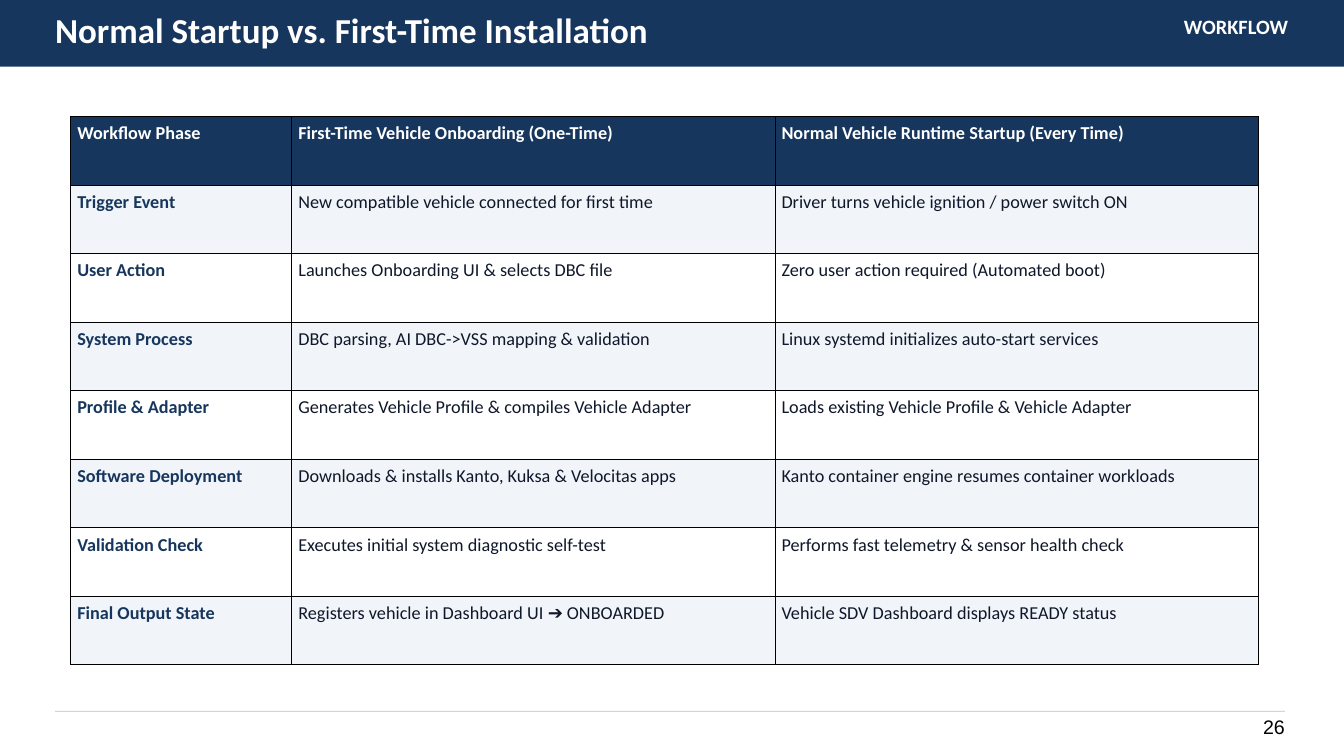
from lxml.etree import SubElement
from pptx import Presentation
from pptx.dml.color import RGBColor
from pptx.enum.shapes import MSO_SHAPE as Preset
from pptx.enum.text import MSO_ANCHOR as Anchor, MSO_AUTO_SIZE as AutoSize, PP_ALIGN as Align
from pptx.oxml.ns import qn
from pptx.util import Inches, Pt

NAVY, WHITE, PALE, INK = "17365D", "FFFFFF", "F1F5F9", "0F172A"
MARGIN = 0.82


def color(value):
    return RGBColor.from_string(value)


def write(frame, text, size, ink, bold=False, font="Calibri", spacing=1.2, align=Align.LEFT):
    """Put one formatted run in the frame; spacing is a multiple of the text size."""
    frame.word_wrap = True
    paragraph = frame.paragraphs[0]
    paragraph.alignment = align
    paragraph.line_spacing = Pt(size * spacing)
    run = paragraph.add_run()
    run.text = text
    run.font.name, run.font.size, run.font.bold = font, Pt(size), bold
    run.font.color.rgb = color(ink)


presentation = Presentation()
presentation.slide_width, presentation.slide_height = Inches(20), Inches(11.25)
slide = presentation.slides.add_slide(presentation.slide_layouts[5])
title = slide.shapes.title

# Header band and footer rule, behind the title
for left, top, width, height, fill in [
    (0, 0, 20, 0.99, NAVY),
    (MARGIN, 10.58, 18.3, 0.01, "BFBFBF"),
]:
    bar = slide.shapes.add_shape(
        Preset.RECTANGLE, Inches(left), Inches(top), Inches(width), Inches(height))
    bar.shadow.inherit = False
    bar.fill.solid()
    bar.fill.fore_color.rgb = color(fill)
    bar.line.fill.background()
    title.element.addprevious(bar.element)

# Title, section label and page number
title.left, title.top, title.width, title.height = map(Inches, (MARGIN, 0.13, 15.3, 0.65))
section = slide.shapes.add_textbox(Inches(16.2), Inches(0.21), Inches(2.97), Inches(0.5))
page = slide.shapes.add_textbox(Inches(18.52), Inches(10.64), Inches(0.6), Inches(0.35))
for shape in (title, section, page):
    frame = shape.text_frame
    frame.auto_size = AutoSize.NONE
    frame.vertical_anchor = Anchor.TOP
    frame.margin_left = frame.margin_right = frame.margin_top = frame.margin_bottom = 0

write(title.text_frame, "Normal Startup vs. First-Time Installation", 37.5, WHITE, bold=True)
write(section.text_frame, "WORKFLOW", 21.8, WHITE, bold=True, align=Align.RIGHT)
write(page.text_frame, "26", 21, "000000", font="Arial", align=Align.RIGHT)

# Comparison table
workflow = [
    ("Workflow Phase", "First-Time Vehicle Onboarding (One-Time)",
     "Normal Vehicle Runtime Startup (Every Time)"),
    ("Trigger Event", "New compatible vehicle connected for first time",
     "Driver turns vehicle ignition / power switch ON"),
    ("User Action", "Launches Onboarding UI & selects DBC file",
     "Zero user action required (Automated boot)"),
    ("System Process", "DBC parsing, AI DBC->VSS mapping & validation",
     "Linux systemd initializes auto-start services"),
    ("Profile & Adapter", "Generates Vehicle Profile & compiles Vehicle Adapter",
     "Loads existing Vehicle Profile & Vehicle Adapter"),
    ("Software Deployment", "Downloads & installs Kanto, Kuksa & Velocitas apps",
     "Kanto container engine resumes container workloads"),
    ("Validation Check", "Executes initial system diagnostic self-test",
     "Performs fast telemetry & sensor health check"),
    ("Final Output State", "Registers vehicle in Dashboard UI ➔ ONBOARDED",
     "Vehicle SDV Dashboard displays READY status"),
]
column_widths = [3.29, 7.19, 7.19]
table = slide.shapes.add_table(
    len(workflow), len(column_widths), Inches(1.05), Inches(1.73),
    Inches(sum(column_widths)), Inches(8.16)).table
for column, width in zip(table.columns, column_widths):
    column.width = Inches(width)

for row, texts in enumerate(workflow):
    for column, text in enumerate(texts):
        cell = table.cell(row, column)
        cell.margin_left = cell.margin_right = Inches(0.1)
        cell.margin_top = cell.margin_bottom = Inches(0.1)
        properties = cell._tc.get_or_add_tcPr()
        for side in ("a:lnL", "a:lnR", "a:lnT", "a:lnB"):
            border = SubElement(properties, qn(side), w=str(Pt(0.37)))
            SubElement(SubElement(border, qn("a:solidFill")), qn("a:srgbClr"), val="000000")
        cell.fill.solid()
        cell.fill.fore_color.rgb = color(NAVY if row == 0 else PALE if row % 2 else WHITE)
        ink = WHITE if row == 0 else NAVY if column == 0 else INK
        write(cell.text_frame, text, 19.5, ink, bold=row == 0 or column == 0)

presentation.save("out.pptx")
